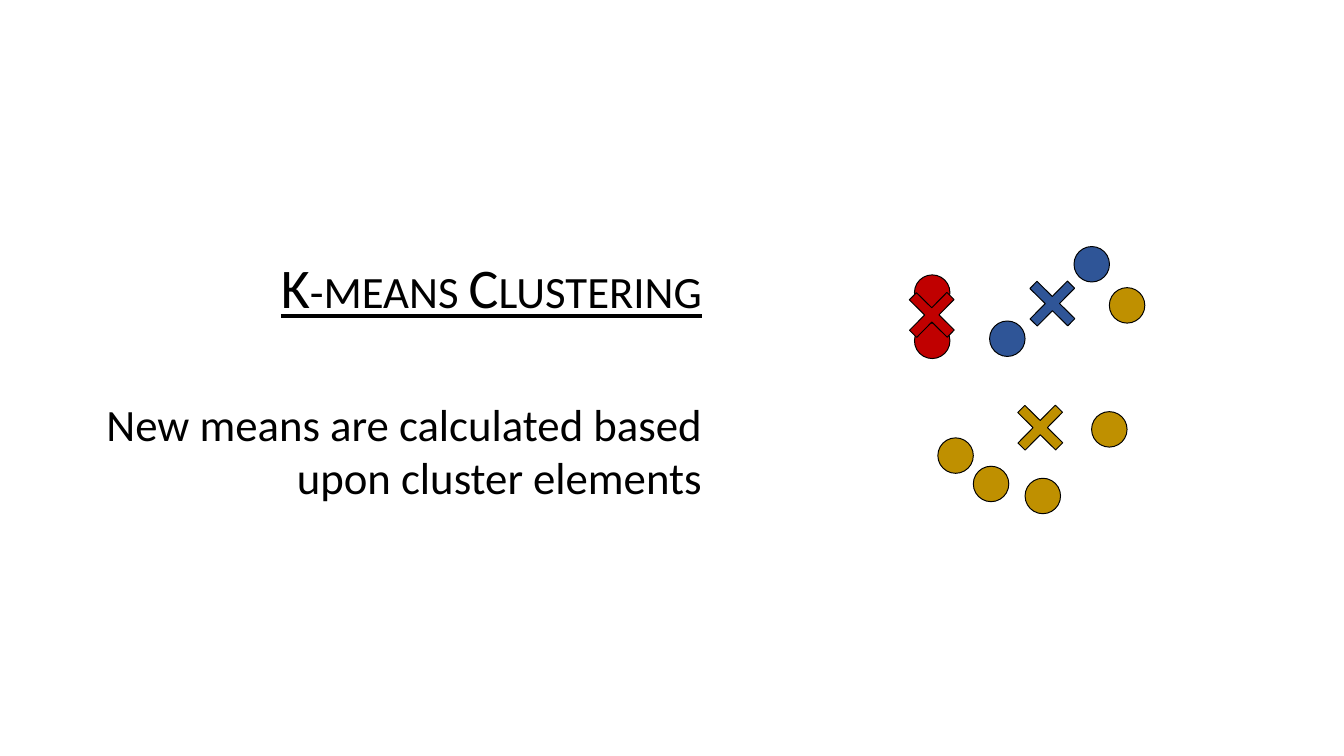
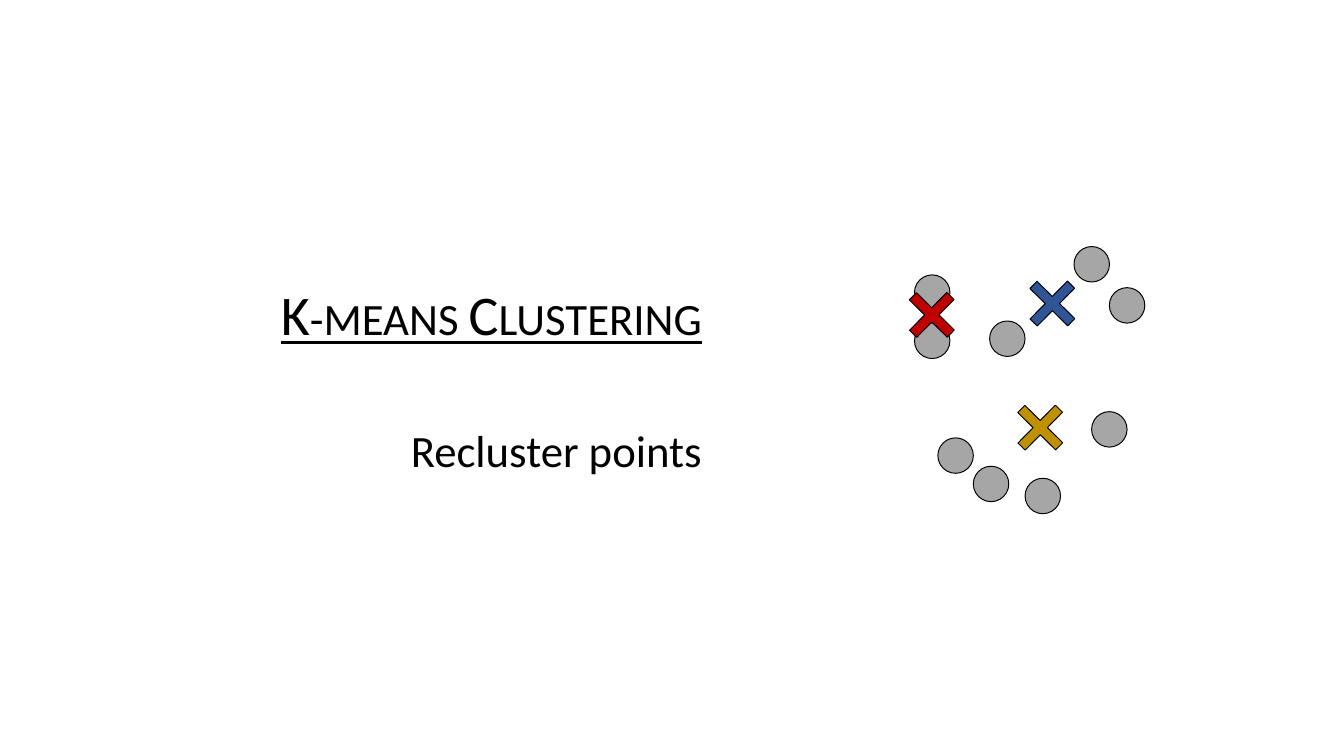
from dataclasses import dataclass
from typing import Optional

from pptx import Presentation
from pptx.dml.color import RGBColor
from pptx.enum.shapes import MSO_SHAPE
from pptx.enum.text import MSO_ANCHOR, PP_ALIGN
from pptx.util import Emu, Inches, Pt

W, H = Inches(18.96), Inches(10.67)


@dataclass(frozen=True)
class Theme:
    font: str = "Calibri"
    title_size: float = 56.9
    body_size: float = 45.5
    title_after: float = 8.5
    body_before: float = 69.7
    line_width: float = 1
    ink: str = "000000"
    red: str = "C00000"
    blue: str = "2F5597"
    gold: str = "BF9000"
    gray: str = "A6A6A6"


THEME = Theme()


# Positions and sizes are percentages of the slide's width and height
@dataclass(frozen=True)
class Marker:
    x: float
    y: float
    color: str


@dataclass(frozen=True)
class Step:
    text: str
    point_color: Optional[str] = None  # None keeps each point's cluster colour


POINT_SIZE, MEAN_SIZE = 2.64, 3.96  # shares of the width
TEXT_BOX = (0, 12.09, 52.74, 75.82)

POINTS = [
    Marker(68.04, 36.36, THEME.red),
    Marker(69.78, 57.92, THEME.gold),
    Marker(76.27, 63.26, THEME.gold),
    Marker(79.91, 32.61, THEME.blue),
    Marker(81.22, 54.45, THEME.gold),
    Marker(72.42, 61.67, THEME.gold),
    Marker(73.63, 42.46, THEME.blue),
    Marker(82.54, 38.05, THEME.gold),
    Marker(68.04, 42.74, THEME.red),
]
MEANS = [
    Marker(67.35, 38.14, THEME.red),
    Marker(76.32, 36.64, THEME.blue),
    Marker(75.42, 53.05, THEME.gold),
]
STEPS = [
    Step("New means are calculated based upon cluster elements"),
    Step("Recluster points", THEME.gray),
]


def across(share: float) -> Emu:
    return Emu(round(W * share / 100))


def down(share: float) -> Emu:
    return Emu(round(H * share / 100))


def add_marker(s, marker: Marker, kind: MSO_SHAPE, size: float, color: str):
    sp = s.shapes.add_shape(kind, across(marker.x), down(marker.y),
                            across(size), across(size))
    sp.shadow.inherit = False
    sp.fill.solid()
    sp.fill.fore_color.rgb = RGBColor.from_string(color)
    sp.line.color.rgb = RGBColor.from_string(THEME.ink)
    sp.line.width = Pt(THEME.line_width)
    return sp


def add_paragraph(p, text: str, size: float):
    p.alignment = PP_ALIGN.RIGHT
    p.font.name = THEME.font
    p.font.size = Pt(size)
    p.font.color.rgb = RGBColor.from_string(THEME.ink)
    r = p.add_run()
    r.text = text
    return r


def add_text(s, body: str) -> None:
    x, y, w, h = TEXT_BOX
    tf = s.shapes.add_textbox(across(x), down(y), across(w), down(h)).text_frame
    tf.word_wrap = True
    tf.vertical_anchor = MSO_ANCHOR.MIDDLE
    tf.margin_left = Inches(0.61)

    # Underlined title in small capitals
    p = tf.paragraphs[0]
    r = add_paragraph(p, "K-means Clustering", THEME.title_size)
    p.space_after = Pt(THEME.title_after)
    p.font.underline = True
    r.font.underline = True
    r.font._element.set("cap", "small") if hasattr(r.font, "_element") else \
        r._r.get_or_add_rPr().set("cap", "small")

    # Description of the step
    p = tf.add_paragraph()
    add_paragraph(p, body, THEME.body_size)
    p.space_before = Pt(THEME.body_before)


def add_step(prs, step: Step) -> None:
    s = prs.slides.add_slide(prs.slide_layouts[6])
    add_text(s, step.text)
    for point in POINTS:
        add_marker(s, point, MSO_SHAPE.OVAL, POINT_SIZE,
                   step.point_color or point.color)
    for mean in MEANS:
        sp = add_marker(s, mean, MSO_SHAPE.CROSS, MEAN_SIZE, mean.color)
        sp.adjustments[0] = 0.405
        sp.rotation = 44.6


def main() -> None:
    prs = Presentation()
    prs.slide_width, prs.slide_height = W, H
    for step in STEPS:
        add_step(prs, step)
    prs.save("out.pptx")


if __name__ == "__main__":
    main()
